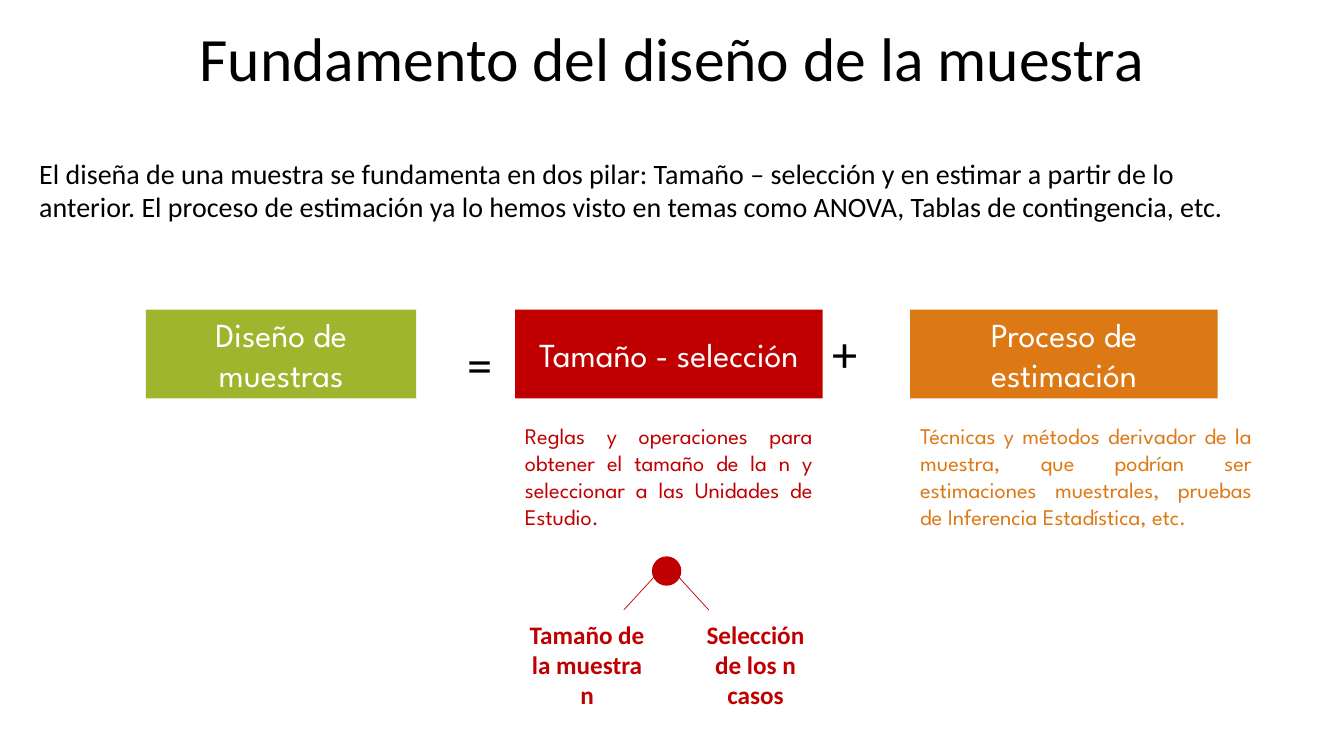
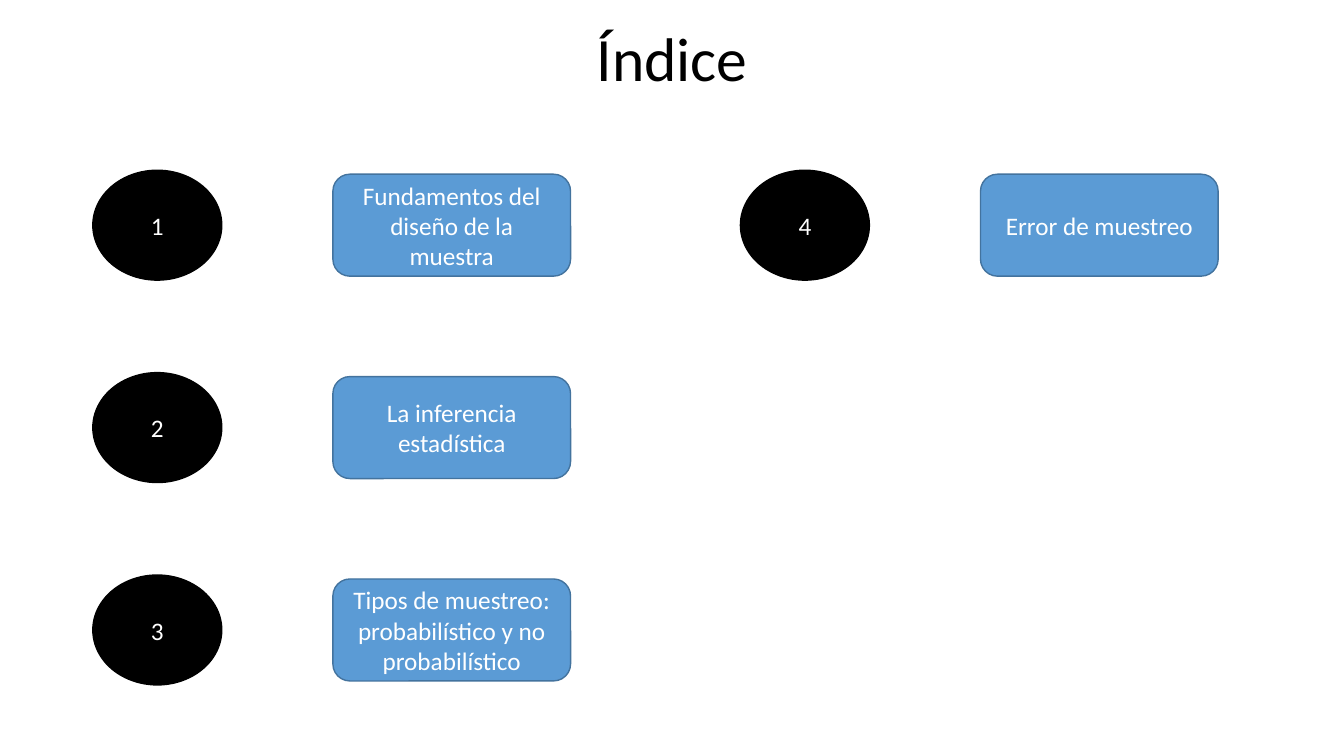
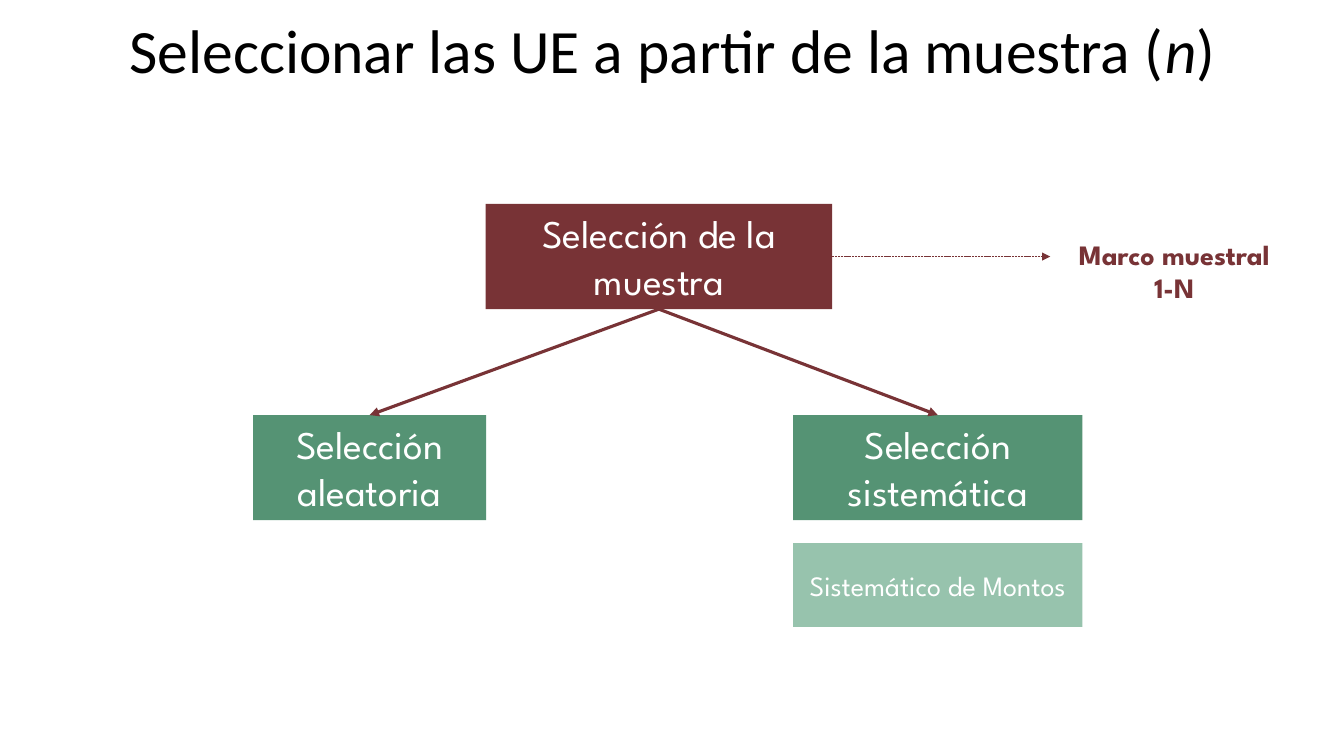
from lxml import etree
from pptx import Presentation
from pptx.dml.color import RGBColor
from pptx.enum.dml import MSO_LINE
from pptx.enum.shapes import MSO_CONNECTOR, MSO_SHAPE
from pptx.enum.text import MSO_ANCHOR, PP_ALIGN
from pptx.oxml.ns import qn
from pptx.util import Cm, Pt

BLACK = RGBColor(0x00, 0x00, 0x00)
WHITE = RGBColor(0xFF, 0xFF, 0xFF)
LIME = RGBColor(0x9F, 0xB5, 0x2E)
RED = RGBColor(0xC0, 0x00, 0x00)
ORANGE = RGBColor(0xDD, 0x79, 0x15)
BLUE = RGBColor(0x5B, 0x9B, 0xD5)
DARK_BLUE = RGBColor(0x43, 0x73, 0x9E)
MAROON = RGBColor(0x78, 0x33, 0x36)
GREEN = RGBColor(0x55, 0x93, 0x74)
PALE_GREEN = RGBColor(0x97, 0xC3, 0xAD)

BODY_FONT = "Calibri"
DISPLAY_FONT = "League Spartan"
LEFT, CENTER, JUSTIFY = PP_ALIGN.LEFT, PP_ALIGN.CENTER, PP_ALIGN.JUSTIFY
TOP, MIDDLE = MSO_ANCHOR.TOP, MSO_ANCHOR.MIDDLE
RECT, ROUNDED, ELLIPSE = MSO_SHAPE.RECTANGLE, MSO_SHAPE.ROUNDED_RECTANGLE, MSO_SHAPE.OVAL
STRAIGHT, DASHED = MSO_CONNECTOR.STRAIGHT, MSO_LINE.SQUARE_DOT
SIDE_TOP, SIDE_BOTTOM, SIDE_RIGHT = 0, 2, 3

# Positions are (left, top, width, height) in centimetres.
TITLE_AREA = (2.34, 0.43, 29.21, 2.26)

FOUNDATION_TITLE = "Fundamento del diseño de la muestra"
INTRO = ("El diseña de una muestra se fundamenta en dos pilar: Tamaño – selección y en estimar "
         "a partir de lo anterior. El proceso de estimación ya lo hemos visto en temas como "
         "ANOVA, Tablas de contingencia, etc.")
# label, colour, left, width, note, note width
PILLARS = [
    ("Diseño de muestras", LIME, 3.68, 6.81, None, None),
    ("Tamaño - selección", RED, 12.98, 7.75,
     "Reglas y operaciones para obtener el tamaño de la n y seleccionar a las "
     "Unidades de Estudio.", 7.75),
    ("Proceso de estimación", ORANGE, 22.94, 7.75,
     "Técnicas y métodos derivador de la muestra, que podrían ser estimaciones "
     "muestrales, pruebas de Inferencia Estadística, etc.", 8.86),
]
OPERATORS = [("+", 20.73, 8.0), ("=", 11.53, 8.26)]
# label, left, width, branch start, branch end
BRANCHES = [
    ("Tamaño de la muestra n", 12.98, 3.63, (16.61, 14.4), (15.72, 15.37)),
    ("Selección de los n casos", 17.35, 3.38, (16.84, 14.25), (17.86, 15.37)),
]

INDEX_TITLE = "Índice"
TOPICS = ["Fundamentos del diseño de la muestra", "La inferencia estadística",
          "Tipos de muestreo: probabilístico y no probabilístico", "Error de muestreo"]
TOPICS_PER_COLUMN = 3

SELECTION_TITLE = [("Seleccionar las UE a partir de la muestra (", False), ("n", True), (")", False)]
SELECTION_ROOT = ("Selección de la muestra", (12.24, 5.14, 8.73, 2.65))
SELECTION_KINDS = [("Selección aleatoria", (6.38, 10.46, 5.87, 2.65)),
                   ("Selección sistemática", (19.99, 10.46, 7.29, 2.65))]
AMOUNTS = ("Sistemático de Montos", (19.99, 13.69, 7.29, 2.11))
FRAME = (["Marco muestral", "1-N"], (26.47, 5.84, 6.25, 1.96))


def write(shape, paragraphs, size, color, font=BODY_FONT, align=CENTER, anchor=MIDDLE,
          bold=False, spacing=None):
    """Fill a shape with text; a paragraph is a string or a list of (text, italic) pairs."""
    frame = shape.text_frame
    frame.word_wrap = True
    frame.vertical_anchor = anchor
    for index, content in enumerate(paragraphs):
        paragraph = frame.paragraphs[0] if index == 0 else frame.add_paragraph()
        paragraph.alignment = align
        if spacing:
            paragraph.line_spacing = spacing
        pieces = [(content, False)] if isinstance(content, str) else content
        for text, italic in pieces:
            run = paragraph.add_run()
            run.text = text
            run.font.color.rgb = color
            formats = {"name": font, "size": Pt(size), "bold": bold, "italic": italic}
            for key, value in formats.items():
                setattr(run.font, key, value)


def add_text(slide, area, paragraphs, size, color, **style):
    write(slide.shapes.add_textbox(*map(Cm, area)), paragraphs, size, color, **style)


def add_title(slide, content, area=TITLE_AREA):
    add_text(slide, area, [content], 44, BLACK, spacing=0.9)


def add_block(slide, kind, area, fill, outline=None):
    block = slide.shapes.add_shape(kind, *map(Cm, area))
    block.shadow.inherit = False
    block.fill.solid()
    block.fill.fore_color.rgb = fill
    if outline is None:
        block.line.fill.background()
    else:
        block.line.color.rgb = outline
        block.line.width = Pt(1)
    return block


def add_line(slide, color, width, start=(0, 0), end=(0, 0), arrow=False):
    line = slide.shapes.add_connector(STRAIGHT, *map(Cm, (*start, *end)))
    line.line.color.rgb = color
    line.line.width = Pt(width)
    if arrow:
        etree.SubElement(line.line._get_or_add_ln(), qn("a:tailEnd"), type="triangle")
    etree.SubElement(line._element.spPr, qn("a:effectLst"))
    return line


def build_foundation(slide):
    add_title(slide, FOUNDATION_TITLE)
    add_text(slide, (0.74, 3.81, 30.78, 1.96), [INTRO], 20, BLACK, align=LEFT, anchor=TOP)
    for label, color, left, width, note, note_width in PILLARS:
        pillar = add_block(slide, RECT, (left, 7.8, width, 2.24), color)
        write(pillar, [label], 24, WHITE, font=DISPLAY_FONT)
        if note:
            add_text(slide, (left, 10.52, note_width, 3), [note], 16, color,
                     font=DISPLAY_FONT, align=JUSTIFY, anchor=TOP)
    for sign, left, top in OPERATORS:
        add_text(slide, (left, top, 1.22, 1.8), [sign], 36, BLACK, align=LEFT, anchor=TOP)
    add_block(slide, ELLIPSE, (16.43, 14.02, 0.74, 0.74), RED)
    for label, left, width, start, end in BRANCHES:
        add_line(slide, RED, 0.5, start, end)
        add_text(slide, (left, 15.47, width, 2.57), [label], 18, RED, anchor=TOP, bold=True)


def build_index(slide):
    add_title(slide, INDEX_TITLE)
    number_width, number_height = 3.25, 2.77
    topic_width, topic_height = 5.99, 2.57
    for index, topic in enumerate(TOPICS):
        column, row = divmod(index, TOPICS_PER_COLUMN)
        left = 2.34 + column * 16.32
        top = 4.29 + row * 5.1
        number = add_block(slide, ELLIPSE, (left, top, number_width, number_height), BLACK, BLACK)
        write(number, [str(index + 1)], 18, WHITE)
        topic_top = top + (number_height - topic_height) / 2
        box = add_block(slide, ROUNDED, (left + 6.05, topic_top, topic_width, topic_height),
                        BLUE, DARK_BLUE)
        write(box, [topic], 18, WHITE)


def build_selection(slide):
    add_title(slide, SELECTION_TITLE, (0.23, 0.23, 33.43, 2.26))
    label, area = SELECTION_ROOT
    root = add_block(slide, RECT, area, MAROON)
    write(root, [label], 28, WHITE, font=DISPLAY_FONT, anchor=TOP)
    root_middle = area[1] + area[3] / 2

    for label, area in SELECTION_KINDS:
        kind = add_block(slide, RECT, area, GREEN)
        write(kind, [label], 28, WHITE, font=DISPLAY_FONT, anchor=TOP)
        arrow = add_line(slide, MAROON, 2.25, arrow=True)
        arrow.begin_connect(root, SIDE_BOTTOM)
        arrow.end_connect(kind, SIDE_TOP)

    label, area = AMOUNTS
    write(add_block(slide, RECT, area, PALE_GREEN), [label], 20, WHITE, font=DISPLAY_FONT)

    lines, area = FRAME
    add_text(slide, area, lines, 20, MAROON, font=DISPLAY_FONT, bold=True)
    frame_arrow = add_line(slide, MAROON, 0.5, end=(area[0], root_middle), arrow=True)
    frame_arrow.begin_connect(root, SIDE_RIGHT)
    frame_arrow.line.dash_style = DASHED


def main():
    deck = Presentation()
    deck.slide_width, deck.slide_height = Cm(33.87), Cm(19.05)
    blank = deck.slide_layouts[6]
    for build in (build_foundation, build_index, build_selection):
        build(deck.slides.add_slide(blank))
    deck.save("out.pptx")


if __name__ == "__main__":
    main()
